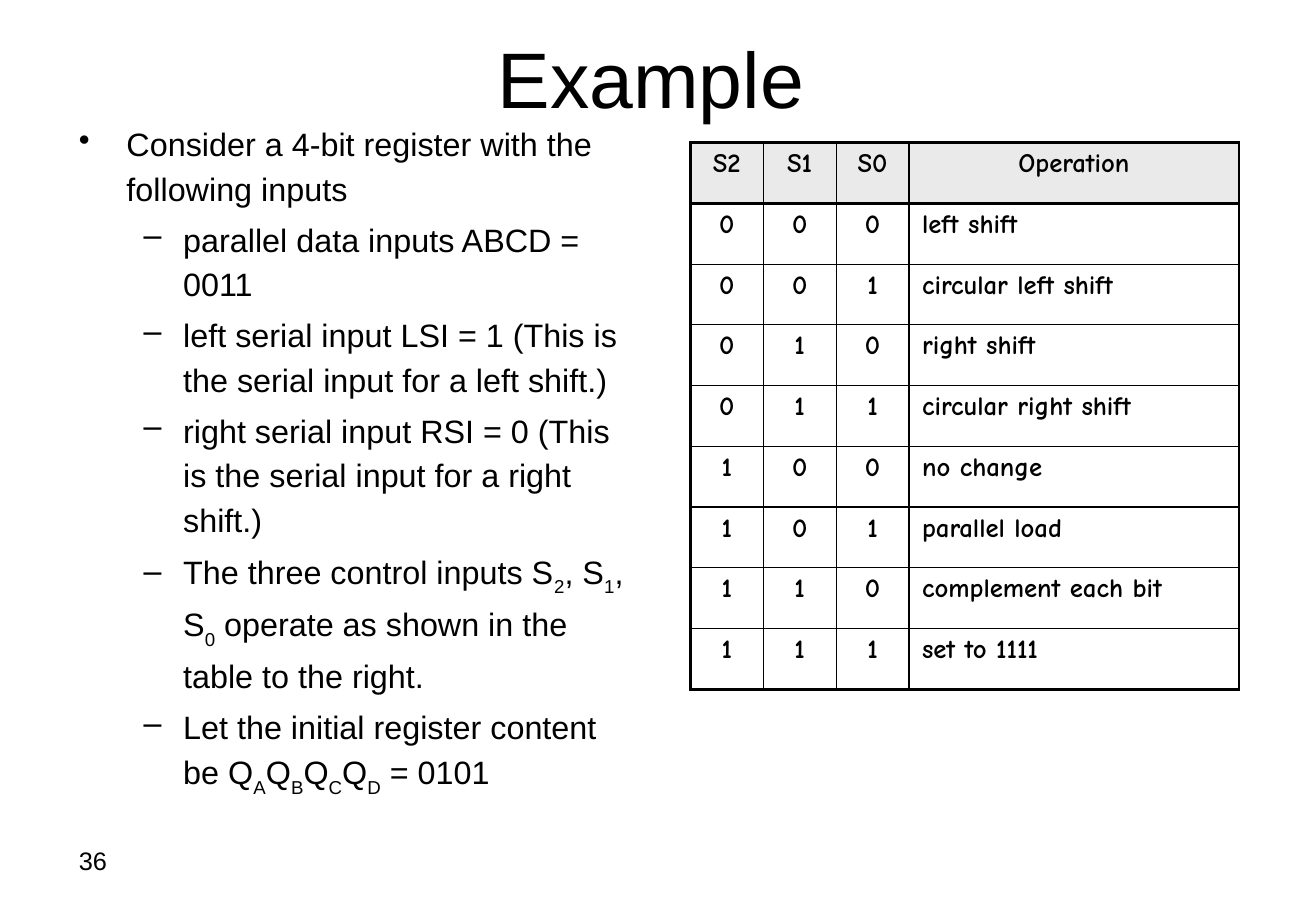
from lxml import etree
from pptx import Presentation
from pptx.dml.color import RGBColor
from pptx.enum.text import MSO_ANCHOR, PP_ALIGN
from pptx.oxml.ns import qn
from pptx.util import Inches, Pt

LEFT, CENTER = PP_ALIGN.LEFT, PP_ALIGN.CENTER
TOP, MIDDLE = MSO_ANCHOR.TOP, MSO_ANCHOR.MIDDLE
BLACK, WHITE, GRAY = "000000", "FFFFFF", "EAEAEA"
THIN, THICK = 1, 2.25

# Each bullet: level, then text whose odd pieces between "|" are subscripts.
BULLETS = [
    (0, "Consider a 4-bit register with the following inputs"),
    (1, "parallel data inputs ABCD = 0011"),
    (1, "left serial input LSI = 1 (This is the serial input for a left shift.)"),
    (1, "right serial input RSI = 0 (This is the serial input for a right shift.)"),
    (1, "The three control inputs S|2|, S|1|, S|0| operate as shown in the table to the right."),
    (1, "Let the initial register content be Q|A|Q|B|Q|C|Q|D| = 0101"),
]
LEVELS = [("•", 0.47, -0.47), ("–", 1.03, -0.39)]  # mark, margin, indent

HEAD = ["S2", "S1", "S0", "Operation"]
OPS = ["left shift", "circular left shift", "right shift", "circular right shift",
       "no change", "parallel load", "complement each bit", "set to 1111"]
ROWS = [HEAD] + [[*f"{code:03b}", op] for code, op in enumerate(OPS)]
WIDTHS = [0.72, 0.72, 0.72, 3.26]
ROW_H = 0.6


def color(code):
    return RGBColor.from_string(code)


def style(para, size, name="Arial", bold=False, align=LEFT):
    font = para.font
    font.size, font.name, font.bold = Pt(size), name, bold
    font.color.rgb = color(BLACK)
    para.alignment = align


def inset(item):
    """Set the margins shared by text frames and cells."""
    item.margin_left = item.margin_right = Inches(0.13)
    item.margin_top = item.margin_bottom = Inches(0.06)


def add_text(slide, box, anchor=TOP):
    frame = slide.shapes.add_textbox(*map(Inches, box)).text_frame
    frame.word_wrap = True
    frame.vertical_anchor = anchor
    inset(frame)
    return frame


def add_bullet(para, level, text):
    mark, margin, indent = LEVELS[level]
    style(para, 23)
    para.level = level
    para.line_spacing = 1.15
    para.space_before = Pt(4.6)
    props = para._p.get_or_add_pPr()
    props.set("marL", str(Inches(margin)))
    props.set("indent", str(Inches(indent)))
    bullet = etree.Element(qn("a:buChar"), char=mark)
    props.insert_element_before(bullet, "a:tabLst", "a:defRPr", "a:extLst")
    for i, piece in enumerate(text.split("|")):
        run = para.add_run()
        run.text = piece
        if i % 2:
            run.font._element.set("baseline", "-30000")


def add_border(cell, side, width):
    line = etree.SubElement(cell._tc.get_or_add_tcPr(), qn(f"a:ln{side}"), w=str(Pt(width)))
    fill = etree.SubElement(line, qn("a:solidFill"))
    etree.SubElement(fill, qn("a:srgbClr"), val=BLACK)


def fill_cell(cell, row, col, text):
    last_row, last_col = len(ROWS) - 1, len(HEAD) - 1
    thick = {
        "L": col == 0 or (col == last_col and row > 0),
        "R": col == last_col or (col == last_col - 1 and row > 0),
        "T": row <= 1,
        "B": row in (0, last_row),
    }
    for side, heavy in thick.items():
        add_border(cell, side, THICK if heavy else THIN)
    cell.fill.solid()
    cell.fill.fore_color.rgb = color(WHITE if row else GRAY)
    inset(cell)
    cell.text = text
    para = cell.text_frame.paragraphs[0]
    style(para, 19, "Comic Neue", True, LEFT if row and col == last_col else CENTER)
    para.space_before = Pt(3.8)


def add_ops(slide):
    table = slide.shapes.add_table(
        len(ROWS), len(HEAD), Inches(6.82), Inches(1.41),
        Inches(sum(WIDTHS)), Inches(ROW_H * len(ROWS))).table
    for column, width in zip(table.columns, WIDTHS):
        column.width = Inches(width)
    for r, row in enumerate(ROWS):
        table.rows[r].height = Inches(ROW_H)
        for c, text in enumerate(row):
            fill_cell(table.cell(r, c), r, c, text)


def main():
    deck = Presentation()
    deck.slide_width, deck.slide_height = Inches(13), Inches(9.1)
    slide = deck.slides.add_slide(deck.slide_layouts[6])

    number = add_text(slide, (0.65, 8.29, 3.03, 0.63)).paragraphs[0]
    number.text = "36"
    style(number, 18)

    title = add_text(slide, (0.58, 0, 11.7, 1.52), MIDDLE).paragraphs[0]
    title.text = "Example"
    style(title, 56, align=CENTER)

    body = add_text(slide, (0.65, 1.11, 5.74, 7.48))
    for i, (level, text) in enumerate(BULLETS):
        add_bullet(body.add_paragraph() if i else body.paragraphs[0], level, text)

    add_ops(slide)
    deck.save("out.pptx")


if __name__ == "__main__":
    main()
